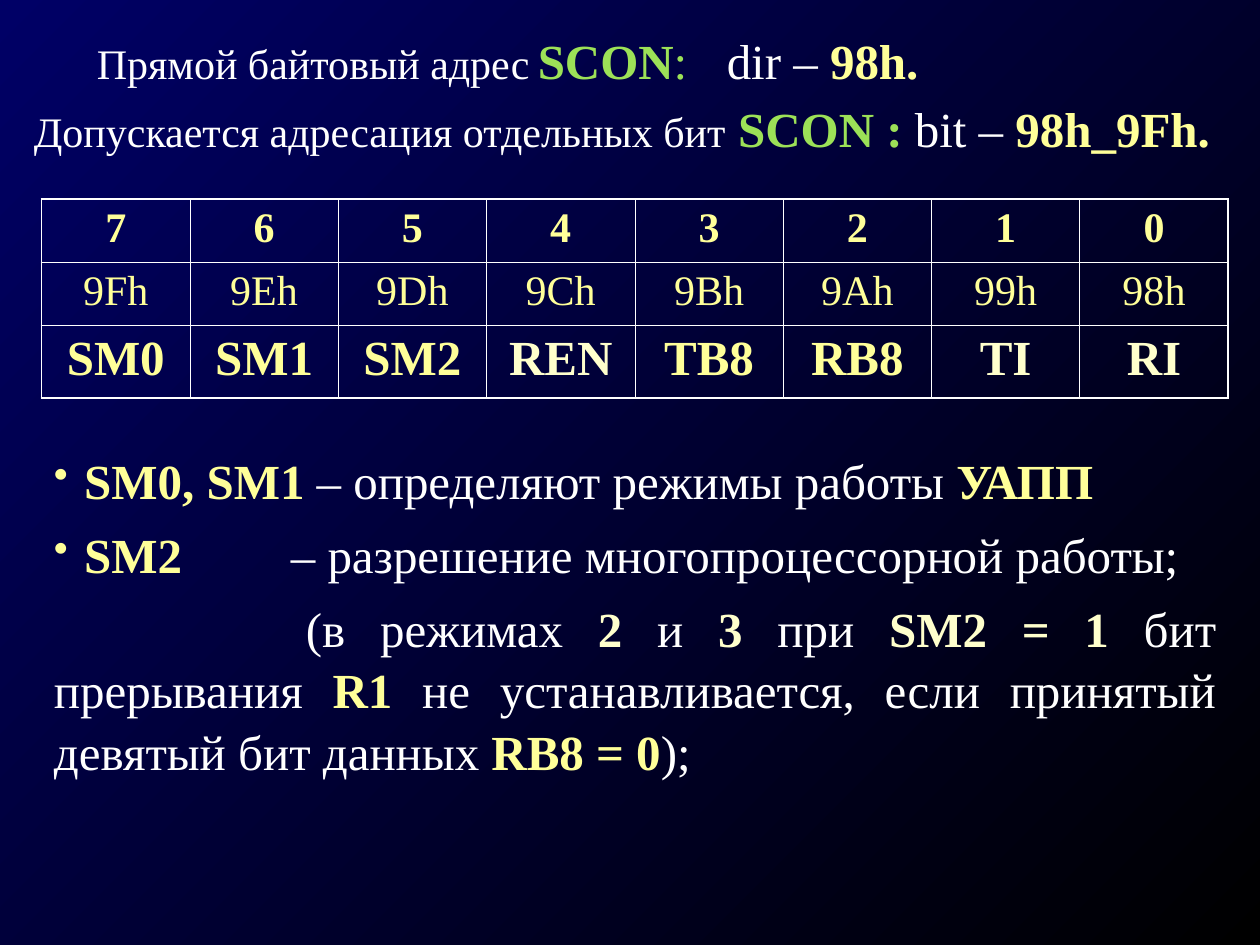
from lxml import etree
from pptx import Presentation
from pptx.dml.color import RGBColor
from pptx.enum import text
from pptx.oxml import ns
from pptx.util import Inches, Pt

COLORS = {
    "navy": "000066", "black": "000000", "white": "FFFFFF",
    "yellow": "FFFF99", "cream": "FFFFCC", "green": "9CE157",
}
FONT = "Times New Roman"


def rgb(name):
    return RGBColor.from_string(COLORS[name])


def add_xml(parent, tag, **attrs):
    return etree.SubElement(parent, ns.qn(tag), attrs)


def add_run(p, words, color="white", size=28, bold=False):
    r = p.add_run()
    r.text = words
    r.font.name = FONT
    r.font.size = Pt(size)
    r.font.bold = bold
    r.font.color.rgb = rgb(color)


def format_paragraph(p, before=0, align="LEFT", left=0, indent=0, bullet=False, tabs=()):
    pPr = p._p.get_or_add_pPr()
    pPr.set("marL", str(Inches(left)))
    pPr.set("indent", str(Inches(indent)))
    if bullet:
        add_xml(add_xml(pPr, "a:buClr"), "a:srgbClr", val=COLORS["yellow"])
        add_xml(pPr, "a:buSzPct", val="85000")
        add_xml(pPr, "a:buChar", char="•")
    if tabs:
        tab_list = add_xml(pPr, "a:tabLst")
        for pos in tabs:
            add_xml(tab_list, "a:tab", pos=str(Inches(pos)), algn="l")
    p.alignment = getattr(text.PP_ALIGN, align)
    p.space_before = Pt(before)
    p.line_spacing = 1.05


def add_text(s, box, paragraphs, before):
    tf = s.shapes.add_textbox(*map(Inches, box)).text_frame
    tf.word_wrap = True
    for i, (layout, runs) in enumerate(paragraphs):
        p = tf.add_paragraph() if i else tf.paragraphs[0]
        format_paragraph(p, before=before if i else 0, **layout)
        for words, style in runs:
            add_run(p, words, **style)


def strong(color="yellow"):
    return {"color": color, "bold": True}


def add_background(s):
    fill = s.background.fill
    fill.gradient()
    fill.gradient_angle = 315
    for stop, color in zip(fill.gradient_stops, ("navy", "black")):
        stop.color.rgb = rgb(color)


def add_addresses(s, box):
    small, plain, green = {"size": 24}, {}, strong("green")
    add_text(s, box, [
        ({"tabs": (1, 4.91, 6.99)}, [
            ("\tПрямой байтовый адрес\t", small), ("SCON", green),
            (":\t", {"color": "green"}), ("dir – ", plain), ("98h.", strong())]),
        ({}, [
            ("Допускается адресация отдельных бит", small), (" ", plain),
            ("SCON : ", green), ("bit – ", plain), ("98h_9Fh.", strong())]),
    ], before=3.5)


def add_border(cell, side, width):
    ln = add_xml(cell._tc.get_or_add_tcPr(), f"a:{side}", w=str(Pt(width)))
    add_xml(add_xml(ln, "a:solidFill"), "a:srgbClr", val=COLORS["white"])


def add_register(s, box):
    names = ["SM0", "SM1", "SM2", "REN", "TB8", "RB8", "TI", "RI"]
    numbers = [str(n) for n in range(7, -1, -1)]
    addresses = [f"{n:X}h" for n in range(0x9F, 0x97, -1)]
    rows = [(numbers, 0.5, 24, True), (addresses, 0.5, 24, False), (names, 0.58, 28, True)]
    last_row, last_col = len(rows) - 1, len(names) - 1
    table = s.shapes.add_table(len(rows), len(names), *map(Inches, box)).table
    table.first_row = table.horz_banding = False
    for col in table.columns:
        col.width = Inches(box[2] / len(names))
    for i, (labels, height, size, bold) in enumerate(rows):
        table.rows[i].height = Inches(height)
        for j, label in enumerate(labels):
            cell = table.cell(i, j)
            outer = {"lnL": j == 0, "lnR": j == last_col, "lnT": i == 0, "lnB": i == last_row}
            for side, is_outer in outer.items():
                add_border(cell, side, 1.08 if is_outer else 0.45)
            cell.fill.background()
            p = cell.text_frame.paragraphs[0]
            p.alignment = text.PP_ALIGN.CENTER
            color = "cream" if label in ("REN", "TI", "RI") else "yellow"
            add_run(p, label, color, size, bold)


def add_description(s, box):
    plain, key, value = {}, strong(), strong("cream")
    item = {"align": "JUSTIFY", "left": 0.24, "indent": -0.24, "bullet": True}
    add_text(s, box, [
        (item, [
            ("SM0, SM1", key), (" – определяют режимы работы ", plain), ("УАПП", key)]),
        ({**item, "tabs": (1.88,)}, [
            ("SM2", key), ("\t– разрешение многопроцессорной работы;", plain)]),
        ({"align": "JUSTIFY", "indent": 2}, [
            ("(в режимах ", plain), ("2 ", value), ("и ", plain), ("3 ", value),
            ("при ", plain), ("SM2 = 1", value), (" бит прерывания ", plain), ("R1", key),
            (" не устанавливается, если принятый девятый бит данных ", plain),
            ("RB8 = 0", key), (");", plain)]),
    ], before=7)


def main():
    prs = Presentation()
    prs.slide_width, prs.slide_height = Inches(10), Inches(7.5)
    s = prs.slides.add_slide(prs.slide_layouts[6])
    add_background(s)
    add_addresses(s, (0.17, 0.17, 9.83, 1.09))
    add_register(s, (0.33, 1.58, 9.42, 1.58))
    add_description(s, (0.33, 3.5, 9.42, 2.63))
    prs.save("out.pptx")


if __name__ == "__main__":
    main()
